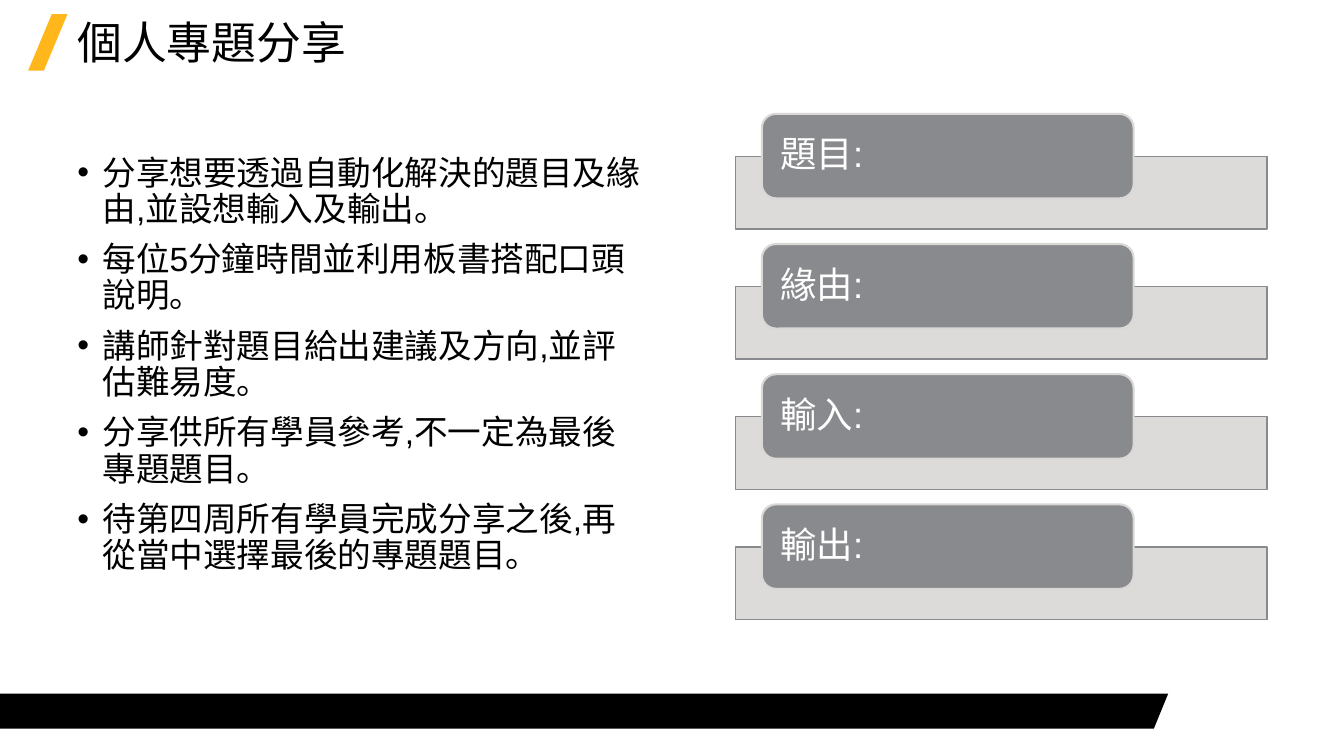
"""Build the slide on sharing personal project topics."""
from dataclasses import dataclass

from lxml import etree
from pptx import Presentation
from pptx import util as u
from pptx.dml import color
from pptx.enum import shapes, text
from pptx.oxml import ns

COLORS = {
    "accent": "FFB71B",
    "black": "000000",
    "band": "D9D8D6",
    "card": "898A8D",
    "white": "FFFFFF",
}
FONT = "Arial"
TITLE = "個人專題分享"
GUIDELINES = [
    "分享想要透過自動化解決的題目及緣由,並設想輸入及輸出。".replace(",", ","),
    "每位5分鐘時間並利用板書搭配口頭說明。",
    "講師針對題目給出建議及方向,並評估難易度。".replace(",", ","),
    "分享供所有學員參考,不一定為最後專題題目。".replace(",", ","),
    "待第四周所有學員完成分享之後,再從當中選擇最後的專題題目。".replace(",", ","),
]
TOPICS = ["題目:", "緣由:", "輸入:", "輸出:"]
ROW_PITCH = 3.28


@dataclass
class Box:
    left: float
    top: float
    width: float
    height: float

    def lengths(self) -> list[u.Cm]:
        return [u.Cm(side) for side in (self.left, self.top, self.width, self.height)]

    def lowered(self, distance: float) -> "Box":
        return Box(self.left, self.top + distance, self.width, self.height)


SLASH = Box(0.71, 0.36, 0.99, 1.42)
TITLE_BOX = Box(1.7, 0.41, 30.48, 2.36)
GUIDELINE_BOX = Box(1.7, 3.81, 14.78, 13.44)
BAND = Box(18.54, 3.94, 13.39, 1.83)
CARD = Box(19.2, 2.87, 9.37, 2.13)


def rgb(name: str) -> color.RGBColor:
    return color.RGBColor.from_string(COLORS[name])


def paint(shape, fill: str, line: str | None = None, width: float = 1) -> None:
    shape.shadow.inherit = False
    shape.fill.solid()
    shape.fill.fore_color.rgb = rgb(fill)
    if line:
        shape.line.color.rgb = rgb(line)
        shape.line.width = u.Pt(width)
    else:
        shape.line.fill.background()


def write(shape, lines: list[str], size: int, ink: str) -> None:
    frame = shape.text_frame
    frame.word_wrap = True
    frame.text = "\n".join(lines)
    for paragraph in frame.paragraphs:
        paragraph.alignment = text.PP_ALIGN.LEFT
        paragraph.line_spacing = 0.9
        for run in paragraph.runs:
            run.font.size = u.Pt(size)
            run.font.name = FONT
            run.font.color.rgb = rgb(ink)


def add_bullet(paragraph) -> None:
    paragraph.space_before = u.Pt(10)
    properties = paragraph._p.get_or_add_pPr()
    indent = u.Cm(0.635)
    properties.set("marL", str(indent))
    properties.set("indent", str(-indent))
    etree.SubElement(properties, ns.qn("a:buFont"), typeface=FONT)
    etree.SubElement(properties, ns.qn("a:buChar"), char="•")


def add_decoration(slide) -> None:
    slash = slide.shapes.add_shape(shapes.MSO_SHAPE.PARALLELOGRAM, *SLASH.lengths())
    slash.adjustments[0] = 0.6
    paint(slash, "accent")
    builder = slide.shapes.build_freeform(0, u.Cm(17.48))
    corners = [(29.44, 17.48), (29.08, 18.36), (0, 18.36)]
    builder.add_line_segments([(u.Cm(x), u.Cm(y)) for x, y in corners], close=True)
    paint(builder.convert_to_shape(), "black")


def add_guidelines(slide) -> None:
    guidelines = slide.shapes.add_textbox(*GUIDELINE_BOX.lengths())
    write(guidelines, GUIDELINES, 24, "black")
    for paragraph in guidelines.text_frame.paragraphs:
        add_bullet(paragraph)


def add_topic(slide, topic: str, distance: float) -> None:
    band = slide.shapes.add_shape(
        shapes.MSO_SHAPE.RECTANGLE, *BAND.lowered(distance).lengths())
    paint(band, "band", "card")
    tint = band.element.spPr.find(ns.qn("a:solidFill"))[0]
    etree.SubElement(tint, ns.qn("a:alpha"), val="90000")
    card = slide.shapes.add_shape(
        shapes.MSO_SHAPE.ROUNDED_RECTANGLE, *CARD.lowered(distance).lengths())
    paint(card, "card", "band", 1.5)
    write(card, [topic], 26, "white")
    frame = card.text_frame
    frame.vertical_anchor = text.MSO_ANCHOR.MIDDLE
    frame.margin_left = frame.margin_right = u.Cm(0.36)
    frame.margin_top = frame.margin_bottom = 0


def main() -> None:
    presentation = Presentation()
    presentation.slide_width = u.Cm(33.87)
    presentation.slide_height = u.Cm(19.05)
    slide = presentation.slides.add_slide(presentation.slide_layouts[6])
    add_decoration(slide)
    write(slide.shapes.add_textbox(*TITLE_BOX.lengths()), [TITLE], 32, "black")
    add_guidelines(slide)
    for row, topic in enumerate(TOPICS):
        add_topic(slide, topic, row * ROW_PITCH)
    presentation.save("out.pptx")


main()
